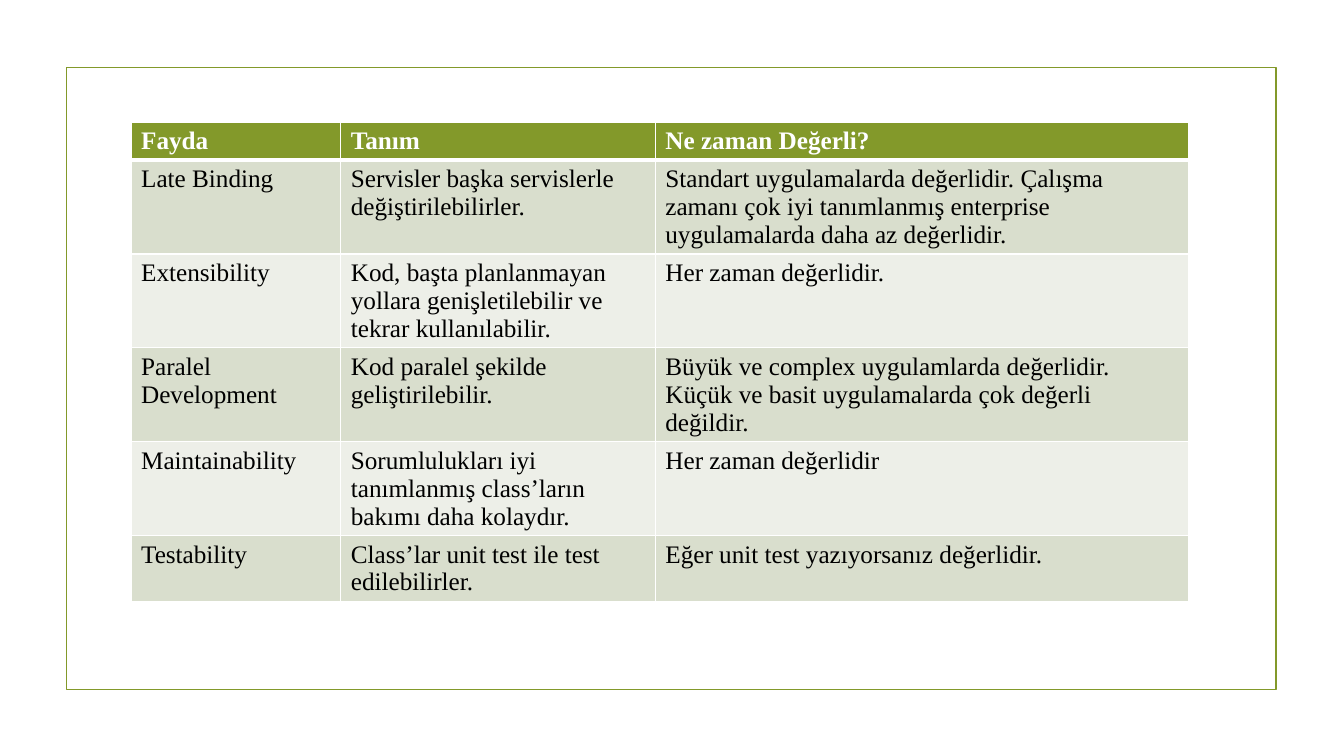
from dataclasses import dataclass

from lxml import etree
from pptx import Presentation
from pptx.dml.color import RGBColor
from pptx.enum.shapes import MSO_SHAPE
from pptx.oxml.ns import qn
from pptx.slide import Slide
from pptx.table import _Cell
from pptx.util import Inches, Pt

RECTANGLE = MSO_SHAPE.RECTANGLE
BLANK_LAYOUT = 6


@dataclass(frozen=True)
class Theme:
    font: str = "Times New Roman"
    text_size: float = 18
    green: str = "83992A"
    white: str = "FFFFFF"
    black: str = "000000"
    bands: tuple[str, str] = ("D9DECD", "EDEFE8")
    frame_line: float = 1.25
    thin_border: float = 1
    header_border: float = 3


@dataclass(frozen=True)
class Benefit:
    name: str
    definition: str
    valuable_when: str
    height: float = 0.93


@dataclass(frozen=True)
class CellLook:
    fill: str
    ink: str
    bold: bool
    top: float
    bottom: float


THEME = Theme()
COLUMN_WIDTHS = (2.08, 3.12, 5.29)
BENEFITS = (
    Benefit("Fayda", "Tanım", "Ne zaman Değerli?", 0.38),
    Benefit(
        "Late Binding",
        "Servisler başka servislerle değiştirilebilirler.",
        "Standart uygulamalarda değerlidir. Çalışma zamanı çok iyi tanımlanmış "
        "enterprise uygulamalarda daha az değerlidir.",
    ),
    Benefit(
        "Extensibility",
        "Kod, başta planlanmayan yollara genişletilebilir ve tekrar kullanılabilir.",
        "Her zaman değerlidir.",
    ),
    Benefit(
        "Paralel Development",
        "Kod paralel şekilde geliştirilebilir.",
        "Büyük ve complex uygulamlarda değerlidir. "
        "Küçük ve basit uygulamalarda çok değerli değildir.",
    ),
    Benefit(
        "Maintainability",
        "Sorumlulukları iyi tanımlanmış class’ların bakımı daha kolaydır.",
        "Her zaman değerlidir",
    ),
    Benefit(
        "Testability",
        "Class’lar unit test ile test edilebilirler.",
        "Eğer unit test yazıyorsanız değerlidir.",
        0.65,
    ),
)


def row_look(index: int) -> CellLook:
    if index == 0:
        return CellLook(THEME.green, THEME.white, True,
                        THEME.thin_border, THEME.header_border)
    top = THEME.header_border if index == 1 else THEME.thin_border
    return CellLook(THEME.bands[(index - 1) % 2], THEME.black, False,
                    top, THEME.thin_border)


def draw_borders(cell: _Cell, look: CellLook) -> None:
    properties = cell._tc.get_or_add_tcPr()
    widths = {
        "a:lnL": THEME.thin_border,
        "a:lnR": THEME.thin_border,
        "a:lnT": look.top,
        "a:lnB": look.bottom,
    }
    for tag, width in widths.items():
        border = etree.SubElement(properties, qn(tag), w=str(int(Pt(width))))
        fill = etree.SubElement(border, qn("a:solidFill"))
        etree.SubElement(fill, qn("a:srgbClr"), val=THEME.white)


def fill_cell(cell: _Cell, wording: str, look: CellLook) -> None:
    draw_borders(cell, look)
    cell.fill.solid()
    cell.fill.fore_color.rgb = RGBColor.from_string(look.fill)
    run = cell.text_frame.paragraphs[0].add_run()
    run.text = wording
    run_format = {"name": THEME.font, "size": Pt(THEME.text_size), "bold": look.bold}
    for attribute, value in run_format.items():
        setattr(run.font, attribute, value)
    run.font.color.rgb = RGBColor.from_string(look.ink)


def draw_frame(slide: Slide) -> None:
    frame = slide.shapes.add_shape(
        RECTANGLE, Inches(0.66), Inches(0.67), Inches(12), Inches(6.17)
    )
    frame.shadow.inherit = False
    frame.fill.background()
    frame.line.color.rgb = RGBColor.from_string(THEME.green)
    frame.line.width = Pt(THEME.frame_line)


def draw_benefits(slide: Slide) -> None:
    table = slide.shapes.add_table(
        len(BENEFITS), len(COLUMN_WIDTHS), Inches(1.3), Inches(1.21),
        Inches(sum(COLUMN_WIDTHS)), Inches(sum(b.height for b in BENEFITS)),
    ).table
    for column, width in zip(table.columns, COLUMN_WIDTHS):
        column.width = Inches(width)
    for index, (row, benefit) in enumerate(zip(table.rows, BENEFITS)):
        row.height = Inches(benefit.height)
        wordings = (benefit.name, benefit.definition, benefit.valuable_when)
        for cell, wording in zip(row.cells, wordings):
            fill_cell(cell, wording, row_look(index))


def main() -> None:
    presentation = Presentation()
    presentation.slide_width = Inches(13.33)
    presentation.slide_height = Inches(7.5)
    slide = presentation.slides.add_slide(presentation.slide_layouts[BLANK_LAYOUT])
    draw_frame(slide)
    draw_benefits(slide)
    presentation.save("out.pptx")


if __name__ == "__main__":
    main()
